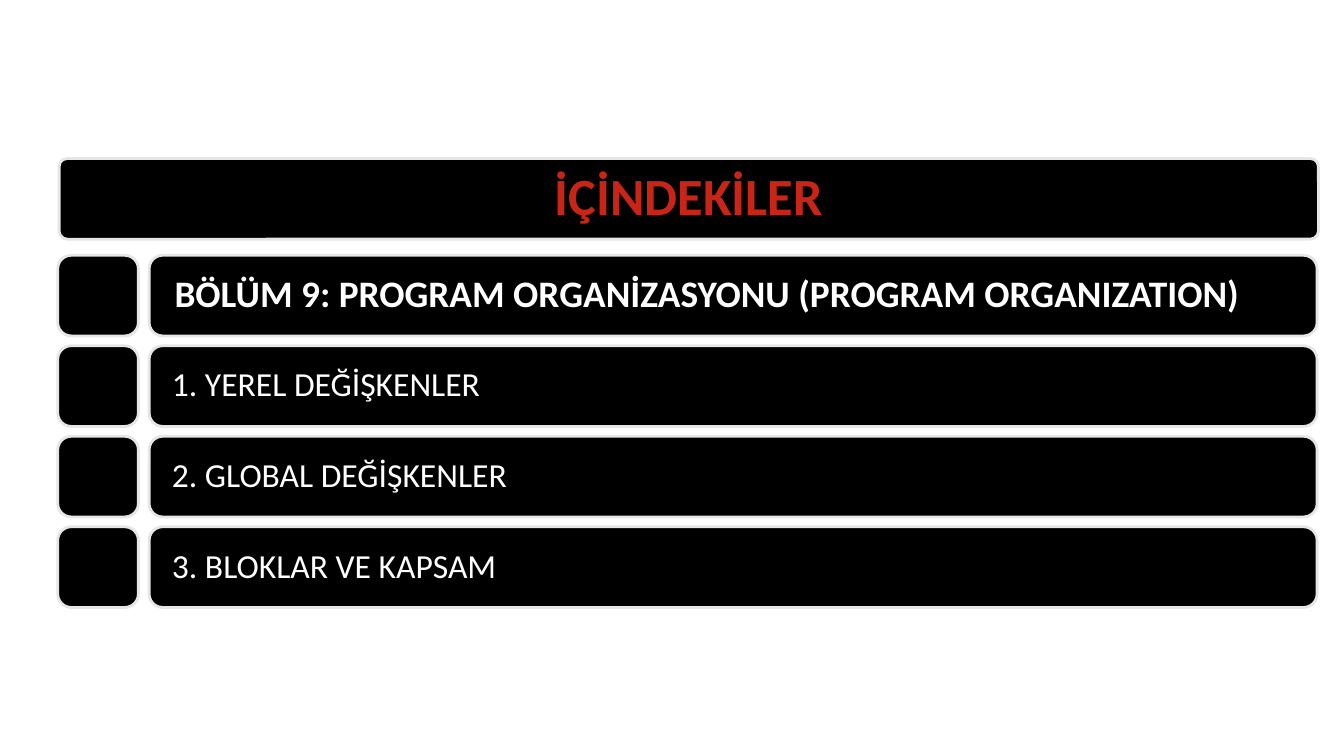
from dataclasses import dataclass

from pptx import Presentation
from pptx.dml.color import RGBColor
from pptx.enum.shapes import MSO_SHAPE
from pptx.enum.text import MSO_ANCHOR, MSO_AUTO_SIZE, PP_ALIGN
from pptx.util import Inches, Pt


@dataclass(frozen=True)
class Theme:
    font: str = "Calibri"
    fill: RGBColor = RGBColor(0, 0, 0)
    edge: RGBColor = RGBColor(0xE7, 0xE6, 0xE6)
    title: RGBColor = RGBColor(0xC8, 0x25, 0x17)
    text: RGBColor = RGBColor(0xFF, 0xFF, 0xFF)
    line: float = 1.5
    big: int = 28
    head: int = 20
    item: int = 18


THEME = Theme()
WIDE = 10
ROWS = [
    "BÖLÜM 9: PROGRAM ORGANİZASYONU (PROGRAM ORGANIZATION)",
    "1. YEREL DEĞİŞKENLER",
    "2. GLOBAL DEĞİŞKENLER",
    "3. BLOKLAR VE KAPSAM",
]


def apply(target, values):
    for name, value in values.items():
        setattr(target, name, value)


def add_tile(slide, box, bend):
    """Add a black rounded tile with a pale edge."""
    tile = slide.shapes.add_shape(
        MSO_SHAPE.ROUNDED_RECTANGLE, *map(Inches, box))
    tile.adjustments[0] = bend
    tile.shadow.inherit = False
    tile.fill.solid()
    tile.fill.fore_color.rgb = THEME.fill
    tile.line.color.rgb = THEME.edge
    tile.line.width = Pt(THEME.line)
    return tile


def write(shape, text, size, color, bold, align, pad_x, pad_y):
    """Put one formatted line of text in a shape."""
    frame = shape.text_frame
    apply(frame, {
        "text": text,
        "word_wrap": True,
        "auto_size": MSO_AUTO_SIZE.NONE,
        "vertical_anchor": MSO_ANCHOR.MIDDLE,
        "margin_left": Inches(pad_x),
        "margin_right": Inches(pad_x),
        "margin_top": Inches(pad_y),
        "margin_bottom": Inches(pad_y),
    })
    para = frame.paragraphs[0]
    apply(para, {"alignment": align, "line_spacing": 0.9})
    font = para.runs[0].font
    apply(font, {"name": THEME.font, "size": Pt(size), "bold": bold})
    font.color.rgb = color


def add_title(slide, box, text):
    """Lay the title over its bar."""
    left, top, width, height = box
    bar = add_tile(slide, box, 0.1)
    title = slide.shapes.title
    inset = 0.02
    apply(title, {
        "left": Inches(left + inset),
        "top": Inches(top + inset),
        "width": Inches(width - 2 * inset),
        "height": Inches(height - 2 * inset),
    })
    write(title, text, THEME.big, THEME.title, True, PP_ALIGN.CENTER,
          0.06, 0.04)
    # Bring the title in front of the bar
    bar._element.addnext(title._element)


def add_list(slide, box, rows):
    """Stack rows of a square marker and a wide text tile."""
    left, top, width, height = box
    side, gap, bend = 0.6, 0.08, 0.167
    step = (height - side) / (len(rows) - 1)
    shift = side + gap
    for i, text in enumerate(rows):
        y = top + i * step
        add_tile(slide, (left, y, side, side), bend)
        tile = add_tile(slide, (left + shift, y, width - shift, side), bend)
        head = i == 0
        size, pad = (THEME.head, 0.16) if head else (THEME.item, 0.14)
        write(tile, text, size, THEME.text, head, PP_ALIGN.LEFT, pad, pad)


def main():
    deck = Presentation()
    # Widescreen, 16:9
    apply(deck, {
        "slide_width": Inches(WIDE),
        "slide_height": Inches(WIDE * 9 / 16),
    })
    slide = deck.slides.add_slide(deck.slide_layouts[5])
    add_title(slide, (0.44, 1.18, 9.37, 0.6), "İÇİNDEKİLER")
    add_list(slide, (0.43, 1.9, 9.37, 2.62), ROWS)
    deck.save("out.pptx")


if __name__ == "__main__":
    main()
